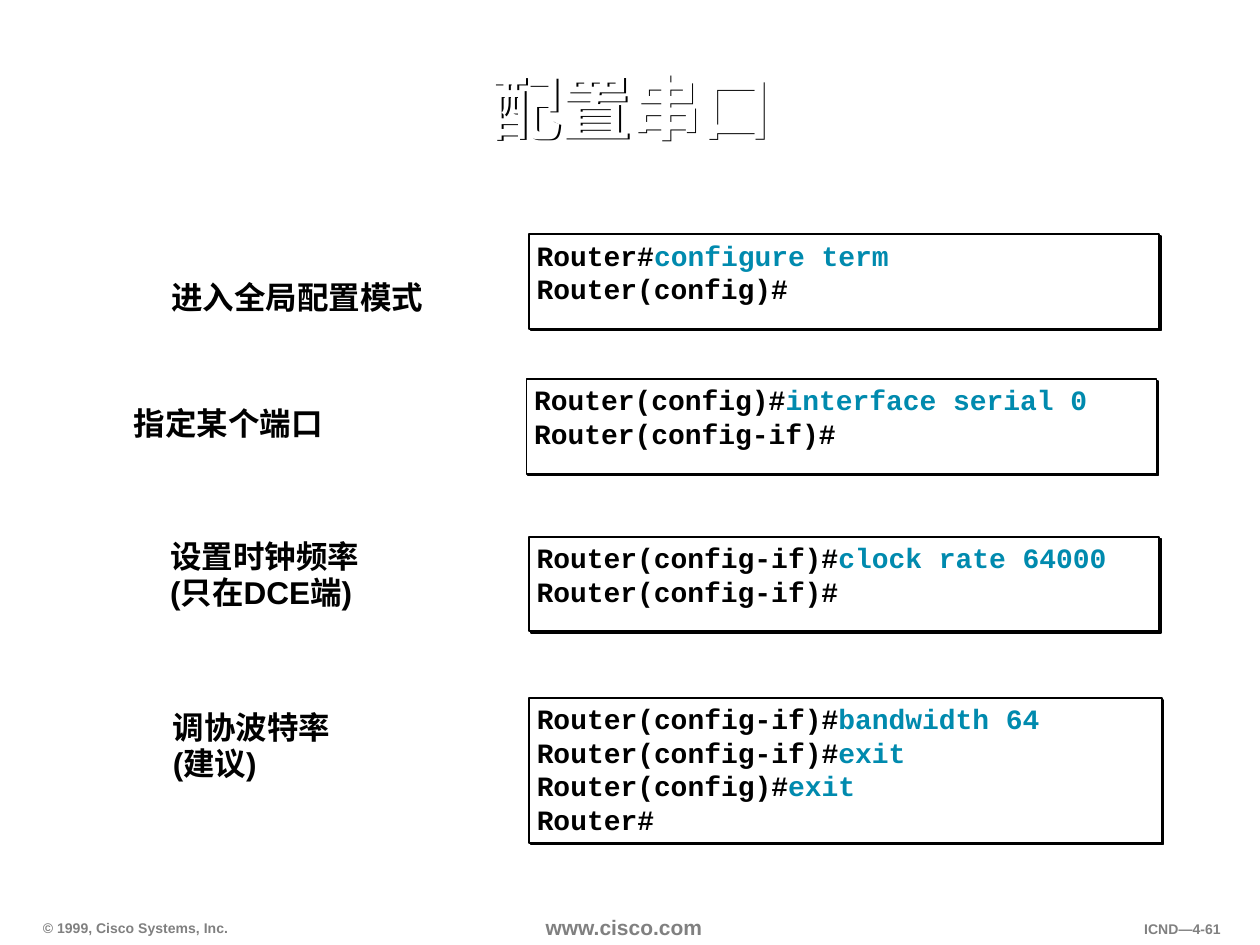
from lxml.etree import SubElement
from pptx import Presentation
from pptx.dml.color import RGBColor
from pptx.enum.shapes import MSO_SHAPE
from pptx.enum.text import MSO_ANCHOR, PP_ALIGN
from pptx.oxml.ns import qn
from pptx.util import Emu, Inches, Pt

# Content: places are left, top, width, height in percent of the slide
TITLE = ("配置串口", (8.4, 3.47, 83.4, 16.67))
STEPS = [
    {"label": "进入全局配置模式", "label_place": (4.4, 23.2, 38.4, 16.8),
     "panel_place": (42, 24.8, 50, 10),
     "code": [("Router#", "configure term"), ("Router(config)#", "")]},
    {"label": "指定某个端口", "label_place": (7.2, 36.53, 28.2, 16.8), "hanging": 0.32,
     "panel_place": (41.8, 40.13, 50, 10),
     "code": [("Router(config)#", "interface serial 0"), ("Router(config-if)#", "")]},
    {"label": "设置时钟频率 \v(只在DCE端)", "label_place": (5.3, 52.53, 32, 16.8),
     "panel_place": (42, 56.8, 50, 10),
     "code": [("Router(config-if)#", "clock rate 64000"), ("Router(config-if)#", "")]},
    {"label": "调协波特率 \v(建议)", "label_place": (6.4, 70.67, 27.7, 16.8),
     "panel_place": (42, 73.87, 50.2, 15.33),
     "code": [("Router(config-if)#", "bandwidth 64"), ("Router(config-if)#", "exit"),
              ("Router(config)#", "exit"), ("Router#", "")]},
]
FOOTERS = [
    ("© 1999, Cisco Systems, Inc.", (2.5, 96.8, 16.8, 2.93), "small", PP_ALIGN.LEFT),
    ("www.cisco.com", (42.4, 96.27, 15, 3.73), "site", PP_ALIGN.LEFT),
    ("ICND—4-61", (85.8, 96.93, 12, 2.93), "small", PP_ALIGN.RIGHT),
]
THEME = {
    "white": "FFFFFF", "ink": "000000", "command": "008AAE", "grey": "808080",
    "sans": "Arial", "mono": "Courier New",
    "title": 40, "label": 18, "code": 16, "site": 12, "small": 8,
}

deck = Presentation()
deck.slide_width, deck.slide_height = Inches(10), Inches(7.5)
page = deck.slides.add_slide(deck.slide_layouts[6])


def color(name):
    return RGBColor.from_string(THEME[name])


def to_lengths(place):
    sides = (deck.slide_width, deck.slide_height) * 2
    return [Emu(round(side * share / 100)) for side, share in zip(sides, place)]


def style(span, size, ink, face="sans"):
    span.font.name = THEME[face]
    span.font.size = Pt(THEME[size])
    span.font.bold = True
    span.font.color.rgb = color(ink)


def add_shadow(shape):
    effects = SubElement(shape.element.spPr, qn("a:effectLst"))
    shadow = SubElement(effects, qn("a:outerShdw"), dist=str(Pt(1.4)), dir="2700000",
                        algn="ctr", rotWithShape="0")
    SubElement(shadow, qn("a:srgbClr"), val=THEME["ink"])


def add_box(place, margins=(0.09, 0.04), anchor=MSO_ANCHOR.TOP, wrap=True):
    box = page.shapes.add_textbox(*to_lengths(place))
    frame = box.text_frame
    frame.word_wrap = wrap
    frame.vertical_anchor = anchor
    frame.margin_left = frame.margin_right = Inches(margins[0])
    frame.margin_top = frame.margin_bottom = Inches(margins[1])
    return box


def add_line(box, text, size, ink, align=PP_ALIGN.LEFT, spacing=None):
    box.text_frame.text = text
    para = box.text_frame.paragraphs[0]
    para.alignment = align
    para.line_spacing = spacing
    for span in para.runs:
        style(span, size, ink)
    return para


def add_panel(place, code):
    panel = page.shapes.add_shape(MSO_SHAPE.RECTANGLE, *to_lengths(place))
    panel.fill.solid()
    panel.fill.fore_color.rgb = color("white")
    panel.line.color.rgb = color("ink")
    panel.line.width = Pt(1)
    add_shadow(panel)

    left, top, width, height = place
    box = add_box((left + 0.4, top, width - 3.4, height), (0.02, 0.03), wrap=False)
    frame = box.text_frame
    frame.text = "\n".join(prompt for prompt, _ in code)
    for para, (_, command) in zip(frame.paragraphs, code):
        style(para.runs[0], "code", "ink", "mono")
        if command:
            span = para.add_run()
            span.text = command
            style(span, "code", "command", "mono")


# Footer
for text, place, size, align in FOOTERS:
    add_line(add_box(place, wrap=size == "site"), text, size, "grey", align)

# Title: white letters; the box has no fill, so its shadow falls from the letters
title_box = add_box(TITLE[1], anchor=MSO_ANCHOR.MIDDLE)
add_line(title_box, TITLE[0], "title", "white", PP_ALIGN.CENTER, 0.9)
add_shadow(title_box)

# Steps: a label centred in its area, and a panel of commands
for step in STEPS:
    add_panel(step["panel_place"], step["code"])
    label_box = add_box(step["label_place"], anchor=MSO_ANCHOR.MIDDLE)
    label_box.text_frame._txBody.bodyPr.set("anchorCtr", "1")
    para = add_line(label_box, step["label"], "label", "ink", spacing=0.95)
    if "hanging" in step:
        indent = Inches(step["hanging"])
        properties = para._p.get_or_add_pPr()
        properties.set("marL", str(indent))
        properties.set("indent", str(-indent))

deck.save("out.pptx")
